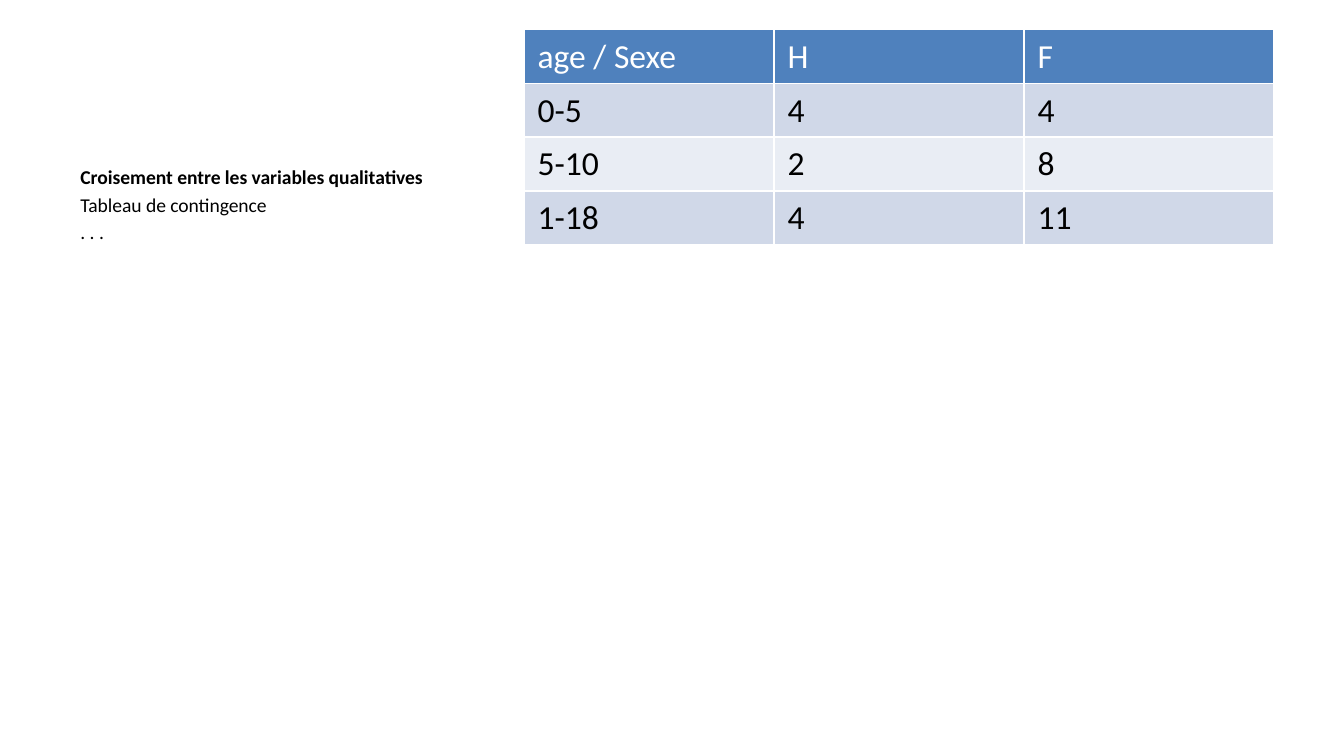
from pptx import Presentation
from pptx.dml.color import RGBColor
from pptx.util import Inches, Pt

BLACK = "000000"
WHITE = "FFFFFF"
HEADER_FILL = "4F81BD"
BAND_FILLS = ("D0D8E8", "E9EDF4")


def color(hex_value):
    return RGBColor.from_string(hex_value)


def write(paragraph, text, font, size, hex_value=BLACK, bold=False, before=0):
    paragraph.space_before = Pt(before)
    run = paragraph.add_run()
    run.text = text
    run.font.name = font
    run.font.size = Pt(size)
    run.font.bold = bold
    run.font.color.rgb = color(hex_value)


class SlideBuilder:
    font = "Calibri"
    body_size = 10.5
    table_size = 18

    def __init__(self, slide):
        self.slide = slide

    def body(self, heading, lines, left, top, width, height):
        frame = self.slide.shapes.add_textbox(
            Inches(left), Inches(top), Inches(width), Inches(height)
        ).text_frame
        frame.word_wrap = True
        write(frame.paragraphs[0], heading, self.font, self.body_size, bold=True)
        for line in lines:
            write(frame.add_paragraph(), line, self.font, self.body_size,
                  before=0.2 * self.body_size)

    def table(self, rows, left, top, width, height):
        holder = self.slide.shapes.add_table(
            len(rows), len(rows[0]), Inches(left), Inches(top),
            Inches(width), Inches(height),
        )
        table = holder.table
        for r, values in enumerate(rows):
            header = r == 0
            fill = HEADER_FILL if header else BAND_FILLS[(r - 1) % 2]
            table.rows[r].height = 0
            for c, value in enumerate(values):
                cell = table.cell(r, c)
                cell.fill.solid()
                cell.fill.fore_color.rgb = color(fill)
                write(cell.text_frame.paragraphs[0], value, self.font,
                      self.table_size, WHITE if header else BLACK)
        holder.height = Inches(height)


def main():
    deck = Presentation()
    deck.slide_width = Inches(10)
    deck.slide_height = deck.slide_width * 9 // 16
    builder = SlideBuilder(deck.slides.add_slide(deck.slide_layouts[6]))

    builder.body(
        "Croisement entre les variables qualitatives",
        ["Tableau de contingence", ". . ."],
        0.5, 1.18, 3.29, 3.85,
    )
    contingency = [
        ("age / Sexe", "H", "F"),
        ("0-5", "4", "4"),
        ("5-10", "2", "8"),
        ("1-18", "4", "11"),
    ]
    builder.table(contingency, 3.9, 0.22, 5.58, 4.79)
    deck.save("out.pptx")


if __name__ == "__main__":
    main()
